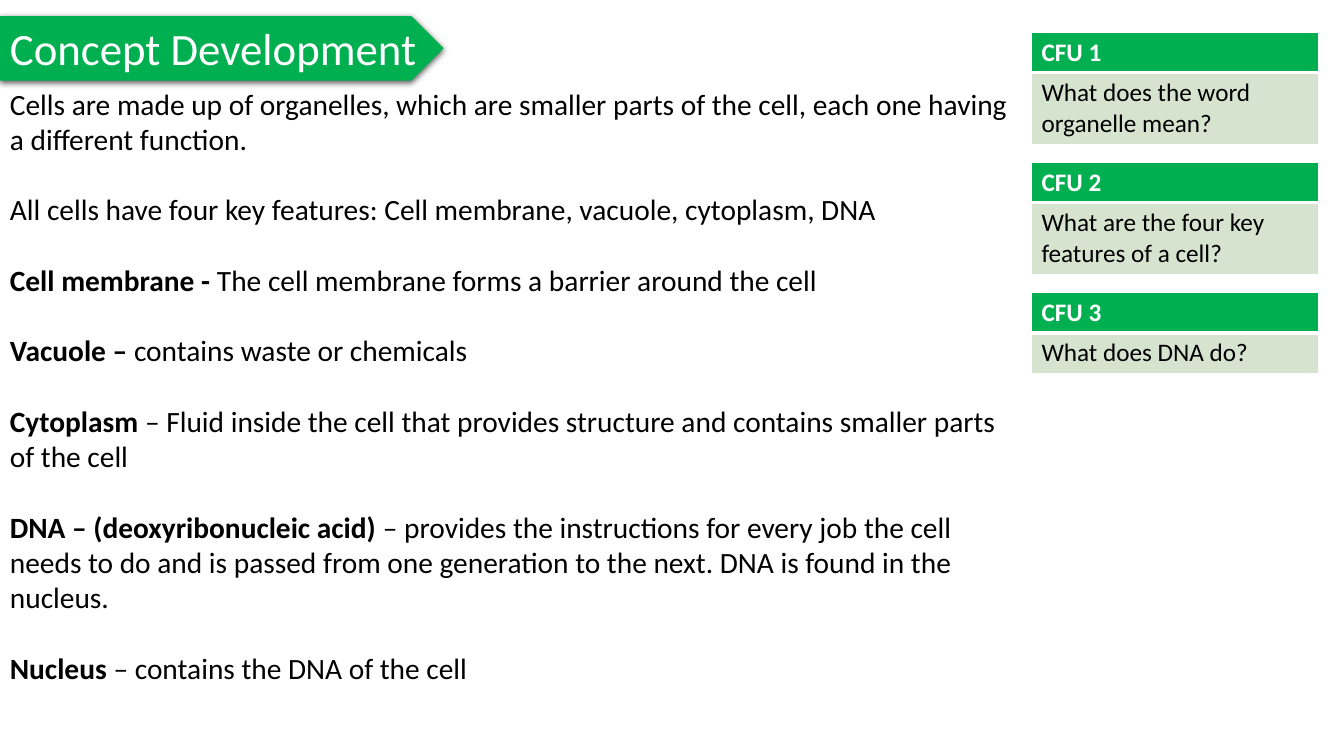
import pptx
import pptx.dml.color
import pptx.enum.shapes
import pptx.enum.text
import pptx.oxml
import pptx.oxml.ns
import pptx.util

Inches = pptx.util.Inches
Pt = pptx.util.Pt
RGBColor = pptx.dml.color.RGBColor

TITLE = "Concept Development"
NOTES = [
    ("", "Cells are made up of organelles, which are smaller parts of the cell, each one having a different function."),
    ("", "All cells have four key features: Cell membrane, vacuole, cytoplasm, DNA"),
    ("Cell membrane - ", "The cell membrane forms a barrier around the cell"),
    ("Vacuole – ", "contains waste or chemicals"),
    ("Cytoplasm", " – Fluid inside the cell that provides structure and contains smaller parts of the cell"),
    ("DNA – (deoxyribonucleic acid) ", "– provides the instructions for every job the cell needs to do and is passed "
     "from one generation to the next. DNA is found in the nucleus."),
    ("Nucleus", " – contains the DNA of the cell"),
]
QUESTIONS = [
    ("CFU 1", "What does the word organelle mean?", 0.71),
    ("CFU 2", "What are the four key features of a cell?", 0.71),
    ("CFU 3", "What does DNA do?", 0.41),
]

FONT = "Calibri"
GREEN = RGBColor(0x00, 0xB0, 0x50)
PALE_GREEN = RGBColor(0xD5, 0xE3, 0xCF)
WHITE = RGBColor(0xFF, 0xFF, 0xFF)
BLACK = RGBColor(0x00, 0x00, 0x00)

TABLE_LEFT, TABLE_TOP, TABLE_WIDTH, TABLE_STEP = 10.23, 0.32, 2.85, 1.29
HEADER_HEIGHT = 0.39
NS = pptx.oxml.ns.nsdecls("a")


def style(r, size, color, bold=False):
    r.font.name = FONT
    r.font.size = Pt(size)
    r.font.color.rgb = color
    r.font.bold = bold


def add_shadow(sp):
    sp.shadow.inherit = False
    effects = sp._element.spPr.find(pptx.oxml.ns.qn("a:effectLst"))
    effects.append(pptx.oxml.parse_xml(
        f'<a:outerShdw {NS} blurRad="{Pt(4.5)}" dist="{Pt(1.5)}" dir="5400000" algn="t" rotWithShape="0">'
        '<a:srgbClr val="000000"><a:alpha val="63000"/></a:srgbClr></a:outerShdw>'))


def set_borders(cell, top, bottom):
    tcPr = cell._tc.get_or_add_tcPr()
    for i, (side, width) in enumerate((("L", 1), ("R", 1), ("T", top), ("B", bottom))):
        tcPr.insert(i, pptx.oxml.parse_xml(
            f'<a:ln{side} {NS} w="{Pt(width)}"><a:solidFill><a:srgbClr val="{WHITE}"/></a:solidFill></a:ln{side}>'))


def add_title(slide):
    sp = slide.shapes.add_shape(pptx.enum.shapes.MSO_SHAPE.PENTAGON,
                                0, Inches(0.16), Inches(4.4), Inches(0.64))
    sp.fill.solid()
    sp.fill.fore_color.rgb = GREEN
    sp.line.fill.background()
    add_shadow(sp)
    tf = sp.text_frame
    tf.word_wrap = False
    tf.auto_size = pptx.enum.text.MSO_AUTO_SIZE.SHAPE_TO_FIT_TEXT
    tf.vertical_anchor = pptx.enum.text.MSO_ANCHOR.TOP
    tf.text = TITLE
    p = tf.paragraphs[0]
    p.alignment = pptx.enum.text.PP_ALIGN.LEFT
    style(p.runs[0], 32, WHITE)


def add_question(slide, index, label, question, height):
    top = TABLE_TOP + index * TABLE_STEP
    frame = slide.shapes.add_table(2, 1, Inches(TABLE_LEFT), Inches(top),
                                   Inches(TABLE_WIDTH), Inches(HEADER_HEIGHT + height))
    table = frame.table
    rows = [(label, HEADER_HEIGHT, GREEN, WHITE, True, 1, 3),
            (question, height, PALE_GREEN, BLACK, False, 3, 1)]
    for i, (text, row_height, fill, color, bold, above, below) in enumerate(rows):
        table.rows[i].height = Inches(row_height)
        cell = table.cell(i, 0)
        cell.fill.solid()
        cell.fill.fore_color.rgb = fill
        set_borders(cell, above, below)
        cell.text_frame.text = text
        style(cell.text_frame.paragraphs[0].runs[0], 18, color, bold)


def add_notes(slide):
    tf = slide.shapes.add_textbox(0, Inches(0.8), Inches(10.16), Inches(6.11)).text_frame
    tf.word_wrap = True
    for i, (term, meaning) in enumerate(NOTES):
        p = tf.add_paragraph() if i else tf.paragraphs[0]
        if i:
            p.space_before = Pt(25.2)
        for text, bold in ((term, True), (meaning, False)):
            if text:
                r = p.add_run()
                r.text = text
                style(r, 21, BLACK, bold)


def main():
    prs = pptx.Presentation()
    prs.slide_width = Inches(13.33)
    prs.slide_height = Inches(7.5)
    slide = prs.slides.add_slide(prs.slide_layouts[6])
    add_title(slide)
    for i, (label, question, height) in enumerate(QUESTIONS):
        add_question(slide, i, label, question, height)
    add_notes(slide)
    prs.save("out.pptx")


if __name__ == "__main__":
    main()
